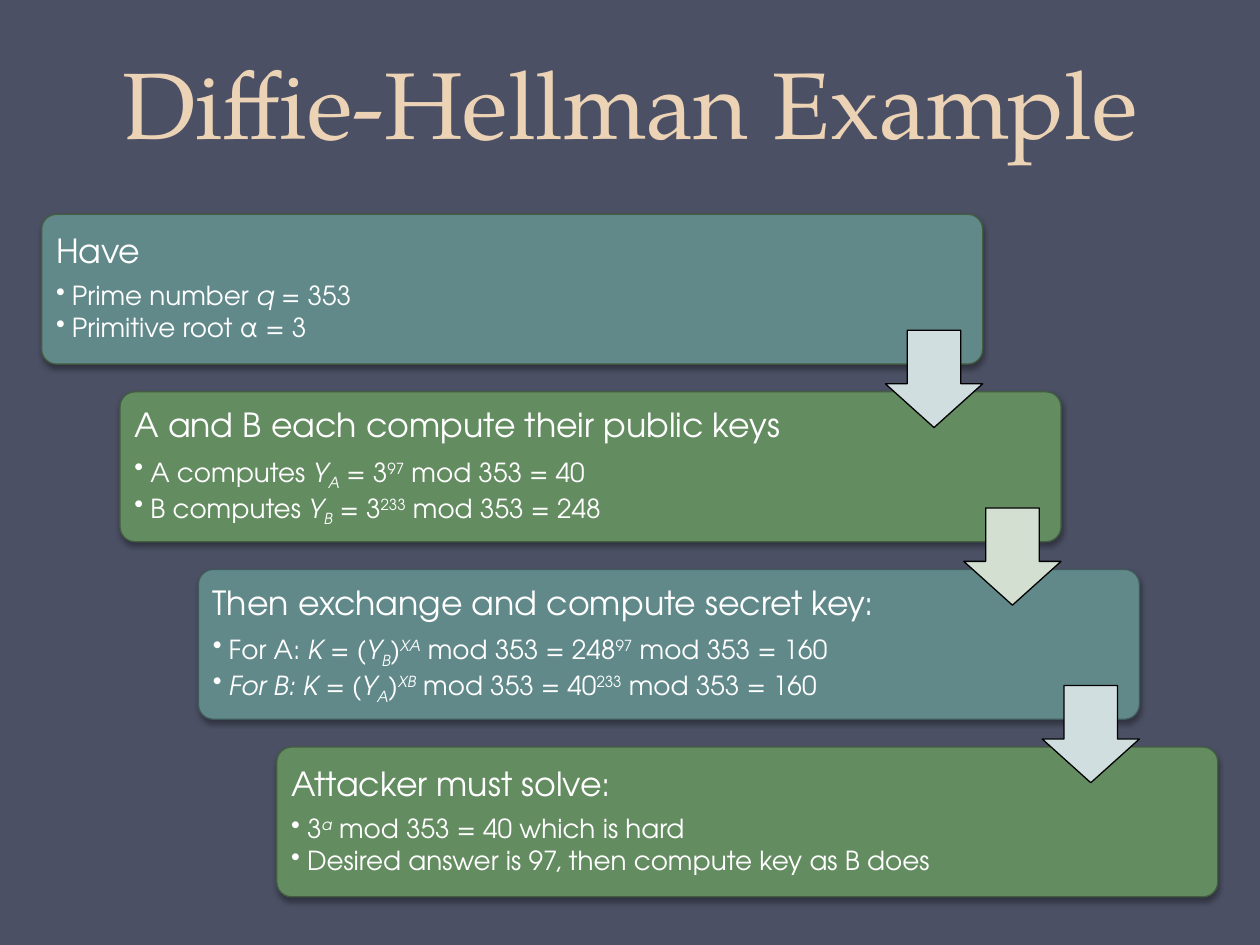
from lxml.etree import SubElement
from pptx import Presentation
from pptx.dml.color import RGBColor
from pptx.enum.shapes import MSO_SHAPE
from pptx.enum.text import MSO_ANCHOR, MSO_AUTO_SIZE, PP_ALIGN
from pptx.oxml.ns import qn
from pptx.util import Cm, Pt

COLORS = {
    "background": "4B5064", "title": "EDD3B6", "text": "FFFFFF", "black": "000000",
    "teal": "61898A", "green": "648C61",
    "teal_edge": "415B5C", "green_edge": "435E40",
    "teal_arrow": "D1DEDF", "green_arrow": "D2DFD1",
}

# Run styles: i = italic, _ = subscript, ^ = superscript
STEPS = [
    ("teal", "green_edge", "Have", [
        [("Prime number ", ""), ("q", "i"), (" = 353", "")],
        [("Primitive root α = 3", "")],
    ]),
    ("green", "green_edge", "A and B each compute their public keys", [
        [("A computes ", ""), ("Y", "i"), ("A", "i_"), (" = 3", ""),
         ("97", "^"), (" mod 353 = 40", "")],
        [("B computes ", ""), ("Y", "i"), ("B", "i_"), (" = 3", ""),
         ("233", "^"), (" mod 353 = 248", "")],
    ]),
    ("teal", "teal_edge", "Then exchange and compute secret key:", [
        [("For A: ", ""), ("K", "i"), (" = (", ""), ("Y", "i"), ("B", "i_"), (")", ""),
         ("XA", "i^"), (" mod 353 = 248", ""), ("97", "^"), (" mod 353 = 160", "")],
        [("For B: K", "i"), (" = (", ""), ("Y", "i"), ("A", "i_"), (")", ""),
         ("XB", "i^"), (" mod 353 = 40", ""), ("233", "^"), (" mod 353 = 160", "")],
    ]),
    ("green", "green_edge", "Attacker must solve:", [
        [("3", ""), ("a", "i^"), (" mod 353 = 40 which is hard", "")],
        [("Desired answer is 97, then compute key as B does", "")],
    ]),
]

LEFT, TOP = 0.84, 4.32
STEP_X, STEP_Y = 1.58, 3.58
PANEL_WIDTH, PANEL_HEIGHT = 18.97, 3.02
ARROW_SIZE, ARROW_DROP = 1.96, 2.34
TEXT_GAP, TEXT_WIDTH = 0.09, 15.3


def color(name):
    return RGBColor.from_string(COLORS[name])


class SlideBuilder:
    """Draws styled elements on the current slide."""
    title_font = "TeX Gyre Pagella"
    body_font = "TeX Gyre Adventor"

    def __init__(self, deck):
        self.slide = deck.slides.add_slide(deck.slide_layouts[5])
        fill = self.slide.background.fill
        fill.solid()
        fill.fore_color.rgb = color("background")

    def style(self, font, name, size, color_name):
        font.name, font.size = name, Pt(size)
        font.color.rgb = color(color_name)

    def title(self, text):
        title = self.slide.shapes.title
        title.left, title.top, title.width, title.height = Cm(0), Cm(-0.28), Cm(25.4), Cm(3.61)
        frame = title.text_frame
        frame.text = text
        frame.auto_size = MSO_AUTO_SIZE.NONE
        frame.vertical_anchor = MSO_ANCHOR.BOTTOM
        para = frame.paragraphs[0]
        para.alignment, para.line_spacing = PP_ALIGN.CENTER, Pt(58)
        self.style(para.runs[0].font, self.title_font, 54, "title")

    def shape(self, kind, left, top, width, height, fill, line, adjustments):
        shape = self.slide.shapes.add_shape(kind, Cm(left), Cm(top), Cm(width), Cm(height))
        for index, value in enumerate(adjustments):
            shape.adjustments[index] = value
        shape.shadow.inherit = False
        shape.fill.solid()
        shape.fill.fore_color.rgb = color(fill)
        shape.line.color.rgb = color(line)
        shape.line.width = Pt(0.75)
        return shape

    def panel(self, left, top, fill, line):
        panel = self.shape(MSO_SHAPE.ROUNDED_RECTANGLE, left, top,
                           PANEL_WIDTH, PANEL_HEIGHT, fill, line, [0.1])
        effects = panel._element.spPr.find(qn("a:effectLst"))
        shadow = SubElement(effects, qn("a:outerShdw"), blurRad=str(Pt(3.1)),
                            dist=str(Pt(1.8)), dir="5400000", rotWithShape="0")
        tint = SubElement(shadow, qn("a:srgbClr"), val=COLORS["black"])
        SubElement(tint, qn("a:alpha"), val="35000")

    def arrow(self, left, top, fill):
        self.shape(MSO_SHAPE.DOWN_ARROW, left, top, ARROW_SIZE, ARROW_SIZE,
                   fill, "black", [0.55, 0.45])

    def step_text(self, left, top, heading, bullets):
        box = self.slide.shapes.add_textbox(Cm(left), Cm(top), Cm(TEXT_WIDTH),
                                            Cm(PANEL_HEIGHT - 2 * TEXT_GAP))
        frame = box.text_frame
        frame.word_wrap = True
        frame.vertical_anchor = MSO_ANCHOR.MIDDLE
        frame.margin_left = frame.margin_right = Cm(0.2)
        frame.margin_top = frame.margin_bottom = Cm(0.2)
        para = frame.paragraphs[0]
        para.text = heading
        para.line_spacing, para.space_after = 0.9, Pt(6.65)
        self.style(para.runs[0].font, self.body_font, 19, "text")
        for spans in bullets:
            self.bullet(frame.add_paragraph(), spans)

    def bullet(self, para, spans):
        para.level = 1
        para.line_spacing, para.space_after = 0.9, Pt(2.25)
        properties = para._p.get_or_add_pPr()
        properties.set("marL", str(Cm(0.32)))
        properties.set("indent", str(Cm(-0.32)))
        SubElement(properties, qn("a:buChar"), char="•")
        for text, marks in spans:
            span = para.add_run()
            span.text = text
            self.style(span.font, self.body_font, 15, "text")
            span.font.italic = "i" in marks
            for mark, baseline in (("_", "-25000"), ("^", "30000")):
                if mark in marks:
                    span.font._element.set("baseline", baseline)


def main():
    deck = Presentation()
    deck.slide_width, deck.slide_height = Cm(25.4), Cm(19.05)
    builder = SlideBuilder(deck)
    builder.title("Diffie-Hellman Example")

    for index, (fill, line, heading, bullets) in enumerate(STEPS):
        left, top = LEFT + index * STEP_X, TOP + index * STEP_Y
        builder.panel(left, top, fill, line)
        builder.step_text(left + TEXT_GAP, top + TEXT_GAP, heading, bullets)

    for index, (fill, *_) in enumerate(STEPS[:-1]):
        right = LEFT + index * STEP_X + PANEL_WIDTH
        builder.arrow(right - ARROW_SIZE, TOP + index * STEP_Y + ARROW_DROP, fill + "_arrow")

    deck.save("out.pptx")


if __name__ == "__main__":
    main()
